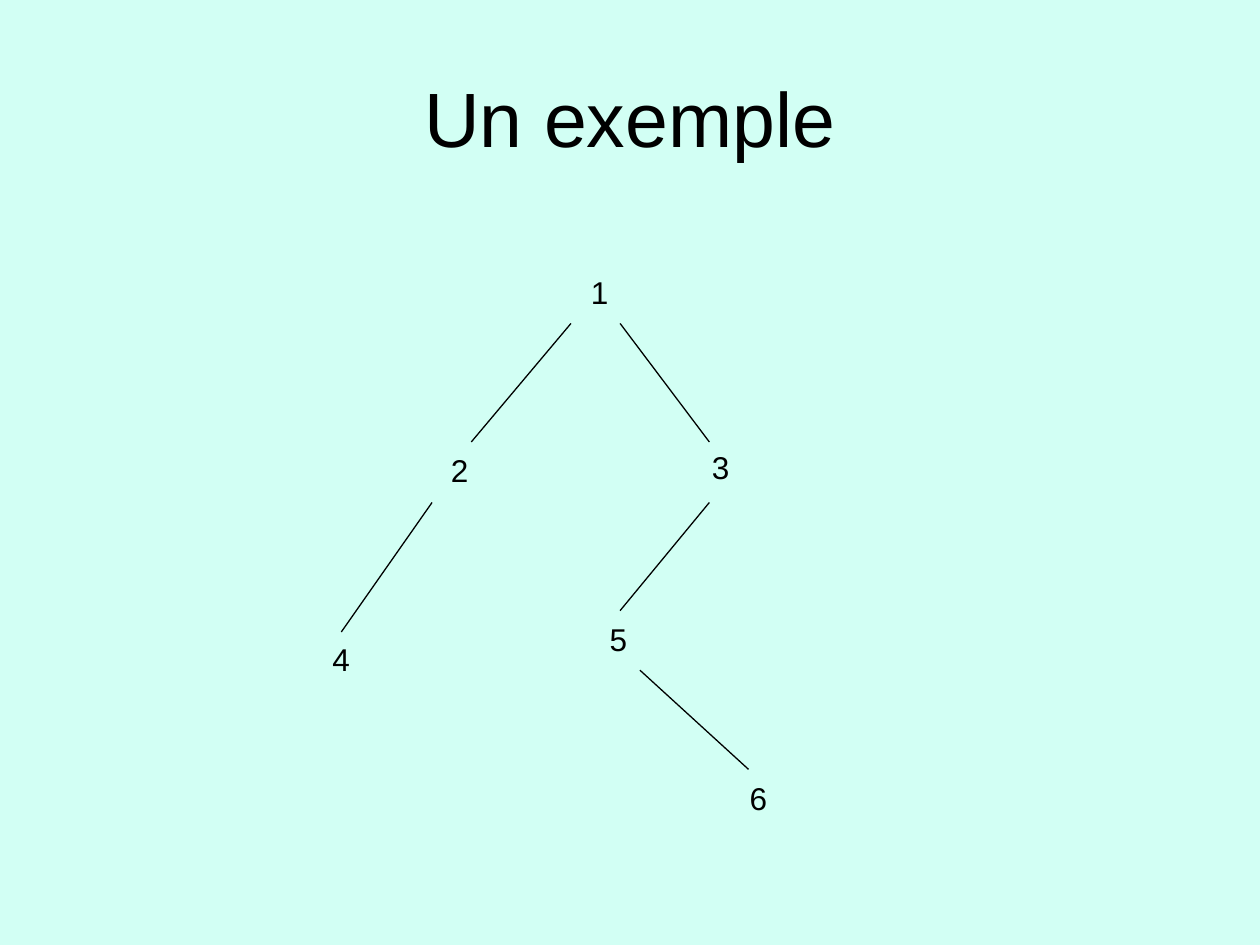
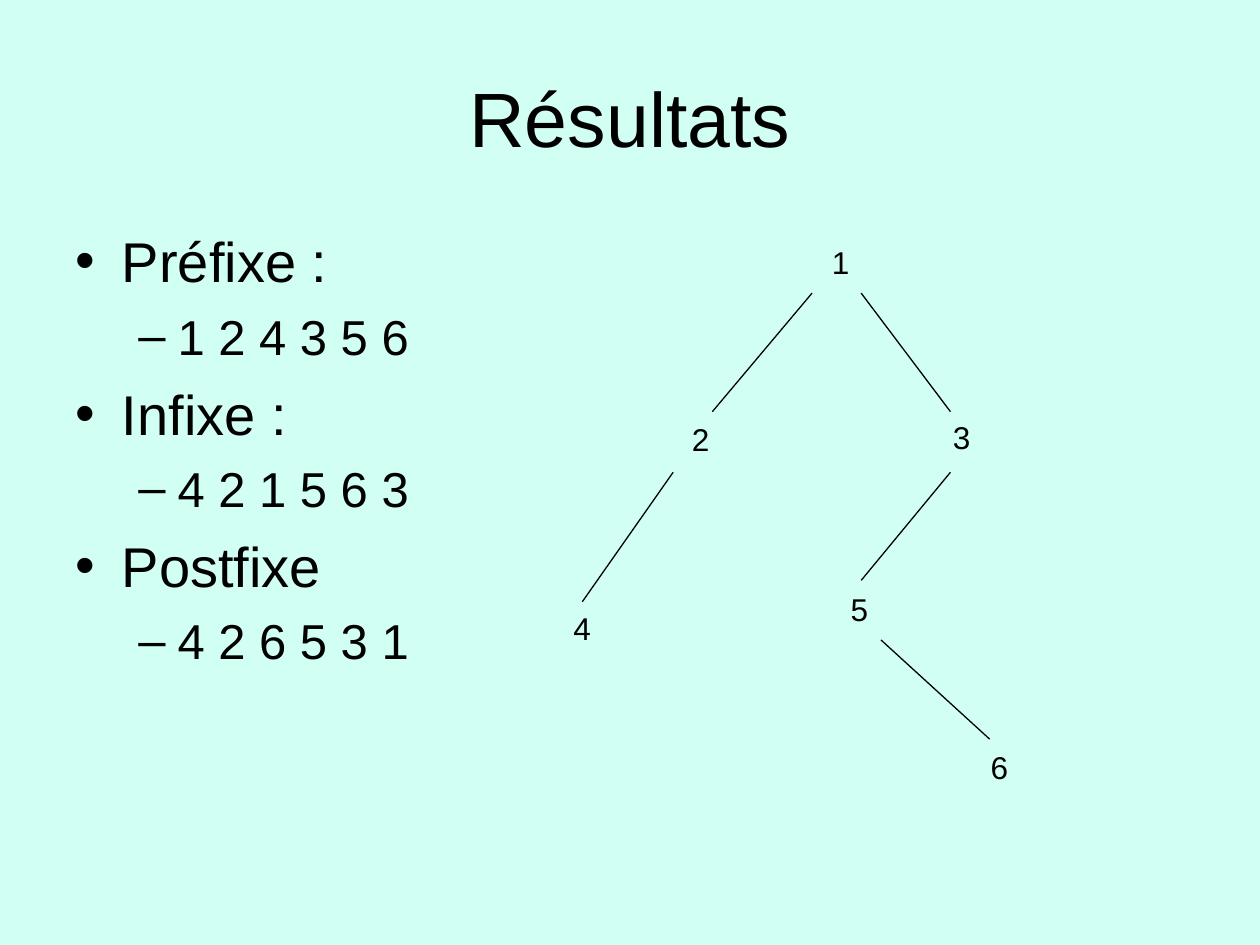
from lxml import etree
from pptx import Presentation
from pptx.dml.color import RGBColor
from pptx.enum.shapes import MSO_CONNECTOR
from pptx.enum.text import MSO_ANCHOR, MSO_AUTO_SIZE, PP_ALIGN
from pptx.oxml.ns import qn
from pptx.util import Cm, Pt

LINE = MSO_CONNECTOR.STRAIGHT
MIDDLE = MSO_ANCHOR.MIDDLE
GROW = MSO_AUTO_SIZE.SHAPE_TO_FIT_TEXT
CENTER = PP_ALIGN.CENTER

BACK = "D2FFF4"
INK = "000000"
FONT = "Arial"

# Places are in cm, counted from the top left corner of the root label.
NODES = {
    "1": (0, 0),
    "2": (-2.82, 3.58),
    "3": (2.44, 3.53),
    "4": (-5.21, 7.39),
    "5": (0.38, 6.99),
    "6": (3.2, 10.19),
}
EDGES = [
    (-0.15, 1.14, -2.16, 3.53),
    (0.84, 1.14, 2.64, 3.53),
    (-2.95, 4.75, -4.78, 7.36),
    (2.64, 4.75, 0.84, 6.93),
    (1.24, 8.13, 3.43, 10.13),
]

# Bullet, text size, space before, left margin and hanging indent per level
LEVELS = [("•", 32, 8, 0.94, 0.94), ("–", 28, 7, 2.06, 0.79)]
ORDERS = [
    ("Préfixe :", "1 2 4 3 5 6"),
    ("Infixe :", "4 2 1 5 6 3"),
    ("Postfixe", "4 2 6 5 3 1"),
]

# Title, root label place, traversal orders
SLIDES = [
    ("Un exemple", 11.66, 5.38, []),
    ("Résultats", 16.52, 4.77, ORDERS),
]


def color(code):
    return RGBColor.from_string(code)


def write(para, text, size):
    """Add one run in the shared font and ink."""
    run = para.add_run()
    run.text = text
    run.font.name = FONT
    run.font.size = Pt(size)
    run.font.color.rgb = color(INK)


deck = Presentation()
deck.slide_width, deck.slide_height = Cm(25.4), Cm(19.05)
blank = deck.slide_layouts[6]

for title, left, top, orders in SLIDES:
    slide = deck.slides.add_slide(blank)
    fill = slide.background.fill
    fill.solid()
    fill.fore_color.rgb = color(BACK)

    head = slide.shapes.add_textbox(Cm(1.27), Cm(0.76), Cm(22.86), Cm(3.18))
    frame = head.text_frame
    frame.word_wrap = True
    frame.vertical_anchor = MIDDLE
    frame.paragraphs[0].alignment = CENTER
    write(frame.paragraphs[0], title, 44)

    if orders:
        body = slide.shapes.add_textbox(Cm(1.27), Cm(4.45), Cm(22.86), Cm(12.57))
        frame = body.text_frame
        frame.word_wrap = True
        para = frame.paragraphs[0]
        for pair in orders:
            for level, text in enumerate(pair):
                mark, size, space, margin, hang = LEVELS[level]
                para = para if not para.runs else frame.add_paragraph()
                para.level = level
                para.space_before = Pt(space)
                props = para._p.get_or_add_pPr()
                props.set("marL", str(Cm(margin)))
                props.set("indent", str(-Cm(hang)))
                etree.SubElement(props, qn("a:buFont"), typeface=FONT)
                etree.SubElement(props, qn("a:buChar"), char=mark)
                write(para, text, size)

    tree = slide.shapes.add_group_shape()
    for x1, y1, x2, y2 in EDGES:
        edge = tree.shapes.add_connector(
            LINE, Cm(left + x1), Cm(top + y1), Cm(left + x2), Cm(top + y2))
        edge.line.color.rgb = color(INK)
        edge.line.width = Pt(0.75)
        etree.SubElement(edge._element.spPr, qn("a:effectLst"))
    for name, (x, y) in NODES.items():
        node = tree.shapes.add_textbox(Cm(left + x), Cm(top + y), Cm(0.86), Cm(1.02))
        frame = node.text_frame
        frame.word_wrap = False
        frame.auto_size = GROW
        write(frame.paragraphs[0], name, 18)

deck.save("out.pptx")
